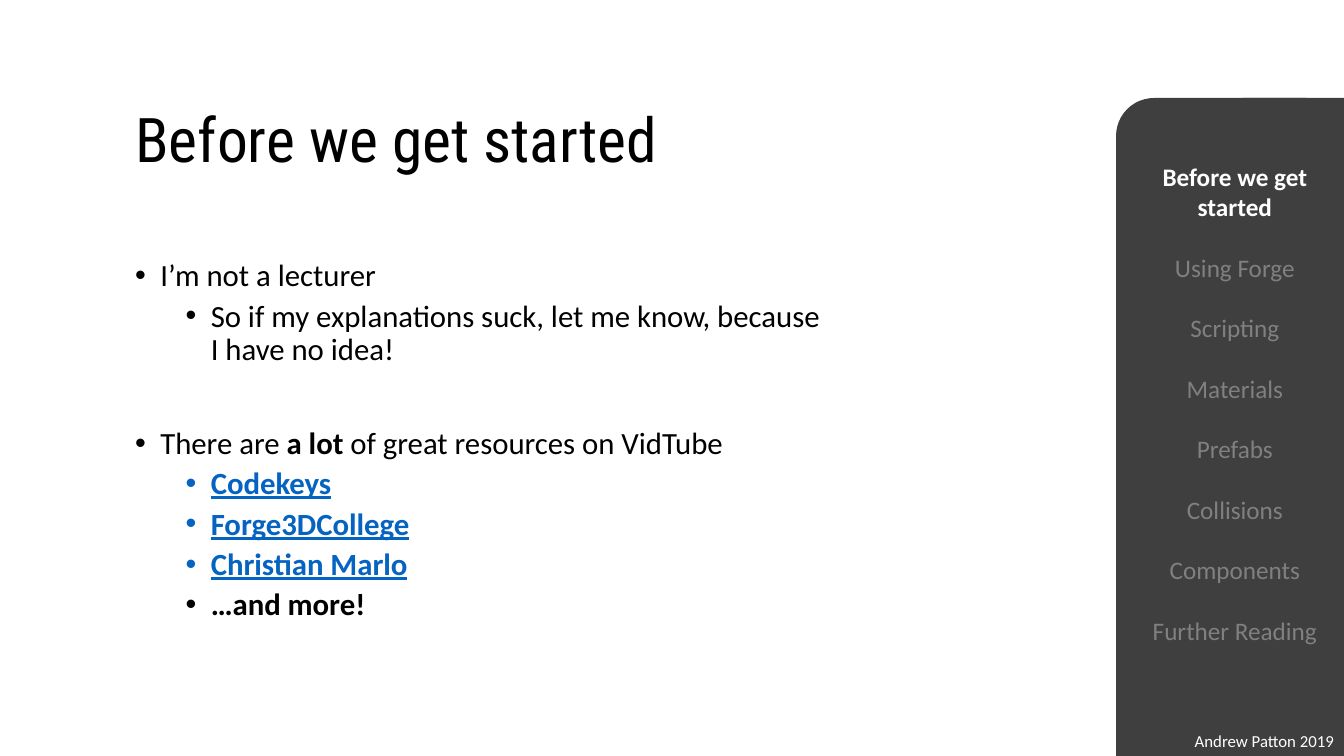
from dataclasses import dataclass

from lxml import etree
from pptx import Presentation
from pptx.dml.color import RGBColor
from pptx.enum.shapes import MSO_SHAPE
from pptx.enum.text import MSO_ANCHOR, PP_ALIGN
from pptx.oxml.ns import qn
from pptx.util import Pt

RECT, ROUNDED = MSO_SHAPE.RECTANGLE, MSO_SHAPE.ROUNDED_RECTANGLE
TOP, MIDDLE = MSO_ANCHOR.TOP, MSO_ANCHOR.MIDDLE
LEFT, CENTER, RIGHT = PP_ALIGN.LEFT, PP_ALIGN.CENTER, PP_ALIGN.RIGHT

BLACK, WHITE, LINK, PANEL, MUTED = "000000", "FFFFFF", "0563C1", "3F3F3F", "808080"
BODY_FONT, TITLE_FONT = "Calibri", "Roboto Condensed"


@dataclass
class Box:
    left: float
    top: float
    width: float
    height: float


@dataclass
class Line:
    """A paragraph; odd-numbered parts between asterisks are bold."""
    text: str
    size: float
    color: str = BLACK
    font: str = BODY_FONT
    underline: bool = False
    align: PP_ALIGN = LEFT
    before: float = 0
    spacing: float = 1.0
    bullet_indent: float = 0


def rgb(value: str) -> RGBColor:
    return RGBColor.from_string(value)


def point(text: str, before: float = 10) -> Line:
    return Line(text, 22, before=before, spacing=0.9, bullet_indent=18)


def subpoint(text: str, color: str = BLACK) -> Line:
    return Line(text, 22, color, underline=color == LINK, before=5,
                spacing=0.9, bullet_indent=54)


def add_bullet(p, indent: float) -> None:
    pPr = p._p.get_or_add_pPr()
    pPr.set("marL", str(Pt(indent)))
    pPr.set("indent", str(Pt(-18)))
    etree.SubElement(pPr, qn("a:buFont")).set("typeface", "Arial")
    etree.SubElement(pPr, qn("a:buChar")).set("char", "•")


def add_text(s, box: Box, lines: list[Line], anchor: MSO_ANCHOR = TOP,
             wrap: bool = True) -> None:
    tf = s.shapes.add_textbox(Pt(box.left), Pt(box.top),
                              Pt(box.width), Pt(box.height)).text_frame
    tf.word_wrap = wrap
    tf.vertical_anchor = anchor
    for i, line in enumerate(lines):
        p = tf.add_paragraph() if i else tf.paragraphs[0]
        p.alignment = line.align
        p.line_spacing = line.spacing
        p.space_before = Pt(line.before)
        if line.bullet_indent:
            add_bullet(p, line.bullet_indent)
        for j, part in enumerate(line.text.split("*")):
            if not part:
                continue
            r = p.add_run()
            r.text = part
            r.font.name = line.font
            r.font.size = Pt(line.size)
            r.font.bold = j % 2 == 1
            r.font.underline = line.underline
            r.font.color.rgb = rgb(line.color)


def add_panel(s, kind: MSO_SHAPE, box: Box) -> None:
    sp = s.shapes.add_shape(kind, Pt(box.left), Pt(box.top),
                            Pt(box.width), Pt(box.height))
    sp.shadow.inherit = False
    sp.fill.solid()
    sp.fill.fore_color.rgb = rgb(PANEL)
    sp.line.fill.background()


BODY = [
    point("I’m not a lecturer"),
    subpoint("So if my explanations suck, let me know, because I have no idea!"),
    point("There are *a lot* of great resources on VidTube", before=43.6),
    subpoint("*Codekeys*", LINK),
    subpoint("*Forge3DCollege*", LINK),
    subpoint("*Christian Marlo*", LINK),
    subpoint("*…and more!*"),
]
SECTIONS = ["Using Forge", "Scripting", "Materials", "Prefabs",
            "Collisions", "Components", "Further Reading"]
SIDEBAR = [Line("*Before we get started*", 18, WHITE, align=CENTER)] + [
    Line(name, 18, MUTED, align=CENTER, before=21.6) for name in SECTIONS]

# The rounded panel is squared off at its right and bottom edges.
PANELS = [
    (RECT, Box(888, 70, 72, 470)),
    (ROUNDED, Box(797.2, 70, 162.8, 470)),
    (RECT, Box(797.2, 468, 162.8, 72)),
]


def main() -> None:
    prs = Presentation()
    prs.slide_width, prs.slide_height = Pt(960), Pt(540)
    s = prs.slides.add_slide(prs.slide_layouts[6])

    add_text(s, Box(89.5, 49.7, 588, 104.4),
             [Line("Before we get started", 44, font=TITLE_FONT, spacing=0.9)], MIDDLE)
    add_text(s, Box(89.5, 179.5, 509, 271.4), BODY, MIDDLE)
    for kind, box in PANELS:
        add_panel(s, kind, box)
    add_text(s, Box(804.2, 111.6, 155.8, 356.4), SIDEBAR)
    add_text(s, Box(838.3, 518.2, 121.7, 21.8),
             [Line("Andrew Patton 2019", 12, WHITE, align=RIGHT)], wrap=False)

    prs.save("out.pptx")


if __name__ == "__main__":
    main()
